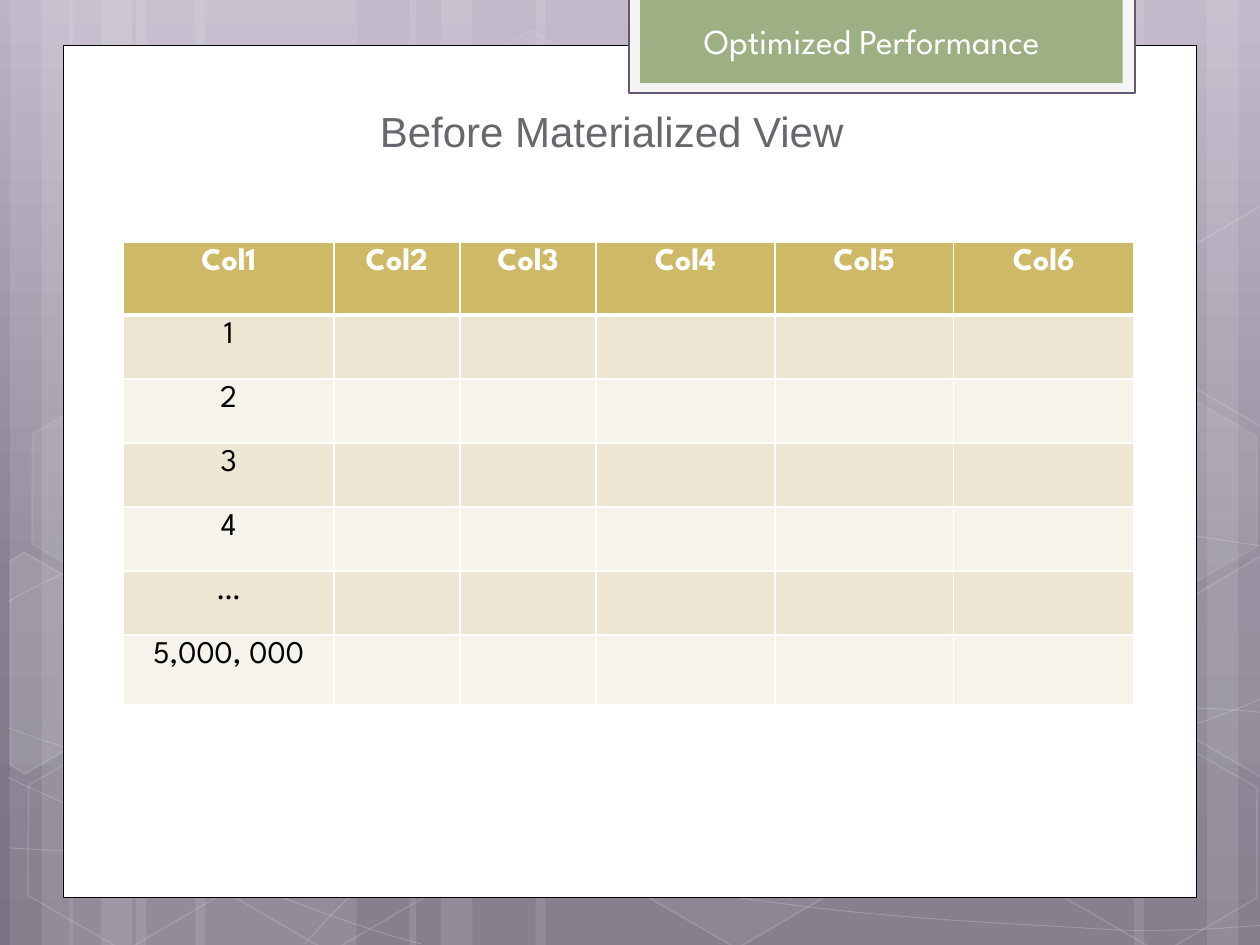
from copy import deepcopy
from math import cos, radians, sin
from pptx import Presentation
from pptx.dml.color import RGBColor
from pptx.enum.shapes import MSO_SHAPE as SHAPE
from pptx.enum.text import MSO_ANCHOR as ANCHOR, PP_ALIGN as ALIGN
from pptx.oxml import parse_xml
from pptx.oxml.ns import nsdecls, qn
from pptx.util import Inches, Pt

BACKDROP = [(0, "BCB3C6"), (0.62, "898193"), (1, "797282")]
BANDS = [(1.08, 1.75), (0.08, 0.5), (0.33, 0.83), (1.55, 1.75), (0.55, 0.5), (0.8, 0.83),
         (7.33, 1.75), (9.58, 0.5), (9, 0.83), (4.25, 3.08), (3.25, 0.5), (3.5, 0.83)]
CURVES = [
    [(0.07, 6.73), (0.61, 6.76), (1.15, 6.79), (1.9, 6.78), (2.65, 6.77), (3.58, 6.75),
     (4.58, 6.65), (5.58, 6.55), (7, 6.36), (7.92, 6.17), (8.83, 5.98), (9.77, 5.68),
     (10.07, 5.51)],
    [(0.07, 4.77), (0.36, 4.61), (0.65, 4.46), (1.21, 4.31), (1.78, 4.16), (2.59, 3.94),
     (3.47, 3.87), (4.36, 3.8), (5.44, 3.79), (6.54, 3.87), (7.64, 3.95), (9.47, 4.26),
     (10.07, 4.34)],
    [(0.06, 6.17), (1.27, 6.72), (2.47, 7.27), (3.34, 7.49)],
    [(0.07, 5.78), (0.38, 5.89), (0.7, 6), (1.28, 6.16), (1.86, 6.31), (2.73, 6.56),
     (3.57, 6.73), (4.4, 6.9), (5.45, 7.08), (6.28, 7.18), (7.11, 7.29), (8, 7.33),
     (8.53, 7.36), (9.05, 7.4), (9.19, 7.38), (9.45, 7.38), (9.71, 7.37), (9.89, 7.35),
     (10.07, 7.34)],
    [(2.42, 7.49), (2.6, 7.29), (2.78, 7.09), (3.02, 6.91), (3.26, 6.73), (3.6, 6.53),
     (3.88, 6.39), (4.16, 6.25), (4.33, 6.19), (4.7, 6.09), (5.06, 5.99), (5.73, 5.85),
     (6.08, 5.78), (6.44, 5.71), (6.49, 5.71), (6.8, 5.69), (7.11, 5.66), (7.6, 5.63),
     (7.94, 5.62), (8.29, 5.61), (8.86, 5.62), (8.86, 5.62), (9.08, 5.62), (9.31, 5.62),
     (9.53, 5.62), (9.71, 5.63), (9.88, 5.64), (9.97, 5.65), (10.06, 5.66), (10.03, 5.65),
     (10.06, 5.66)],
]
TILT = 30
HEXAGONS = [(3.34, 0.36, 4, 8), (4.97, 5.89, 6, 12), (0.11, 5.91, 0, 12), (0.14, 3.12, 7, 8),
            (1.74, 5.92, 0, 12), (7.53, 4.53, 10, 12), (8.34, 5.93, 0, 12), (8.34, 3.14, 7, 8)]
CUT_HEXAGONS = [
    ((0.36, 5.35), 10,
     [(0.08, 4.45), (0.19, 4.38), (0.96, 4.82), (0.95, 5.7), (0.2, 6.14), (0.08, 6.07)]),
    ((9.85, 5.2), 4,
     [(9.26, 4.85), (10.01, 4.41), (10.09, 4.46), (10.09, 6.13), (10.02, 6.17), (9.26, 5.73)]),
    ((9.85, 2.41), 0,
     [(9.26, 2.07), (10.01, 1.63), (10.1, 1.68), (10.09, 3.35), (10.02, 3.39), (9.26, 2.95)]),
]
PANELS = [((0.5, 0.36, 9, 6.76), "FFFFFF", ("000000", 0.5)),
          ((4.99, -0.02, 4.02, 0.76), "F5F5F5", ("645773", 1.25)),
          ((5.08, -0.02, 3.83, 0.68), "9CB084", None)]
TITLE = "Optimized Performance"
SUBTITLE = "Before Materialized View"
HEADERS = ["Col1", "Col2", "Col3", "Col4", "Col5", "Col6"]
ROW_LABELS = ["1", "2", "3", "4", "…", "5,000, 000"]
GRID_BOX = (0.98, 1.92, 8.02, 3.67)
COL_WIDTHS = [1.67, 1, 1.08, 1.42, 1.42, 1.43]
FIRST_ROW, LAST_ROW = 0.58, 0.55
ROW_HEIGHTS = [FIRST_ROW] + [(GRID_BOX[3] - FIRST_ROW - LAST_ROW) / 5] * 5 + [LAST_ROW]
HEADER_FILL, ROW_FILLS = "CEB966", ["EDE6D3", "F6F3EA"]
HEADER_FONT = dict(name="League Spartan", size=Pt(18), bold=True)
BODY_FONT = dict(HEADER_FONT, bold=False)


def rgb(color):
    return RGBColor.from_string(color)


def paint(fill, color, alpha=100):
    if not alpha:
        fill.background()
        return
    fill.solid()
    fill.fore_color.rgb = rgb(color)
    if alpha < 100:
        node = fill._xPr.find(qn("a:solidFill"))[0]
        node.append(parse_xml(f'<a:alpha {nsdecls("a")} val="{alpha * 1000}"/>'))


def style(sp, color, alpha=100, line=None, line_alpha=100):
    sp.shadow.inherit = False
    paint(sp.fill, color, alpha)
    if line:
        paint(sp.line.fill, line[0], line_alpha)
        sp.line.width = Pt(line[1])
    else:
        sp.line.fill.background()


def add_shape(s, kind, box):
    return s.shapes.add_shape(kind, *map(Inches, box))


def add_outline(s, points, close):
    points = [(Inches(x), Inches(y)) for x, y in points]
    builder = s.shapes.build_freeform(*points[0])
    builder.add_line_segments(points[1:], close=close)
    return builder.convert_to_shape()


def add_curve(s, points):
    sp = add_outline(s, points, False)
    lines = list(sp._element.iter(qn("a:lnTo")))
    for i in range(0, len(lines), 3):
        bezier = parse_xml(f'<a:cubicBezTo {nsdecls("a")}/>')
        lines[i].addprevious(bezier)
        for line in lines[i:i + 3]:
            bezier.append(line[0])
            line.getparent().remove(line)
    return sp


def turn_back(points, center):
    c, n = cos(radians(TILT)), sin(radians(TILT))
    offsets = [(x - center[0], y - center[1]) for x, y in points]
    return [(center[0] + x * c + y * n, center[1] + y * c - x * n) for x, y in offsets]


def write(tf, text, font, color):
    p = tf.paragraphs[0]
    p.alignment = ALIGN.CENTER
    r = p.add_run()
    r.text = text
    for key, value in font.items():
        setattr(r.font, key, value)
    r.font.color.rgb = rgb(color)
    return p


def add_text(s, box, text, font, color, wrap, anchor):
    tf = s.shapes.add_textbox(*map(Inches, box)).text_frame
    tf.word_wrap, tf.vertical_anchor = wrap, anchor
    return write(tf, text, font, color)


def add_backdrop(s):
    fill = s.background.fill
    fill.gradient()
    fill.gradient_angle = 270
    stops = next(s._element.iter(qn("a:gsLst")))
    stops.append(deepcopy(stops[-1]))
    for stop, (position, color) in zip(fill.gradient_stops, BACKDROP):
        stop.position = position
        stop.color.rgb = rgb(color)
    for x, width in BANDS:
        style(add_shape(s, SHAPE.RECTANGLE, (x, 0, width, 7.5)), "FFFFFF", 10)
    for points in CURVES:
        style(add_curve(s, points), "FFFFFF", 0, ("FFFFFF", 0.5), 20)
    for x, y, alpha, line_alpha in HEXAGONS:
        sp = add_shape(s, SHAPE.HEXAGON, (x, y, 1.75, 1.52))
        sp.rotation = TILT
        sp.adjustments[0] = 0.285
        style(sp, "FFFFFF", alpha, ("FFFFFF", 1), line_alpha)
    for center, alpha, points in CUT_HEXAGONS:
        sp = add_outline(s, turn_back(points, center), True)
        sp.rotation = TILT
        style(sp, "FFFFFF", alpha, ("FFFFFF", 1), 12)


def add_borders(cell, bottom):
    tcPr = cell._tc.get_or_add_tcPr()
    for i, (side, width) in enumerate(zip("LRTB", (1, 1, 1, bottom))):
        tcPr.insert(i, parse_xml(
            f'<a:ln{side} {nsdecls("a")} w="{Pt(width)}"><a:solidFill>'
            f'<a:srgbClr val="FFFFFF"/></a:solidFill></a:ln{side}>'))


def add_grid(s):
    size = len(ROW_HEIGHTS), len(COL_WIDTHS)
    table = s.shapes.add_table(*size, *map(Inches, GRID_BOX)).table
    for col, width in zip(table.columns, COL_WIDTHS):
        col.width = Inches(width)
    for i, (row, height) in enumerate(zip(table.rows, ROW_HEIGHTS)):
        row.height = Inches(height)
        for cell in row.cells:
            paint(cell.fill, ROW_FILLS[(i - 1) % 2] if i else HEADER_FILL)
            add_borders(cell, 1 if i else 3)
    for j, header in enumerate(HEADERS):
        write(table.cell(0, j).text_frame, header, HEADER_FONT, "FFFFFF")
    for i, label in enumerate(ROW_LABELS, 1):
        write(table.cell(i, 0).text_frame, label, BODY_FONT, "000000")


def main():
    """Build the slide and save it."""
    prs = Presentation()
    prs.slide_width, prs.slide_height = Inches(10), Inches(7.5)
    s = prs.slides.add_slide(prs.slide_layouts[6])
    add_backdrop(s)
    for box, color, line in PANELS:
        style(add_shape(s, SHAPE.RECTANGLE, box), color, line=line)
    add_text(s, (5.17, 0, 3.5, 0.54), TITLE, dict(name="League Spartan", size=Pt(20)),
             "FFFFFF", True, ANCHOR.BOTTOM)
    p = add_text(s, (2.82, 0.79, 4, 0.5), SUBTITLE, dict(name="Arial", size=Pt(24)),
                 "69676D", False, ANCHOR.TOP)
    p._p.get_or_add_pPr().set("marL", str(Inches(0.07)))
    add_grid(s)
    prs.save("out.pptx")


if __name__ == "__main__":
    main()
